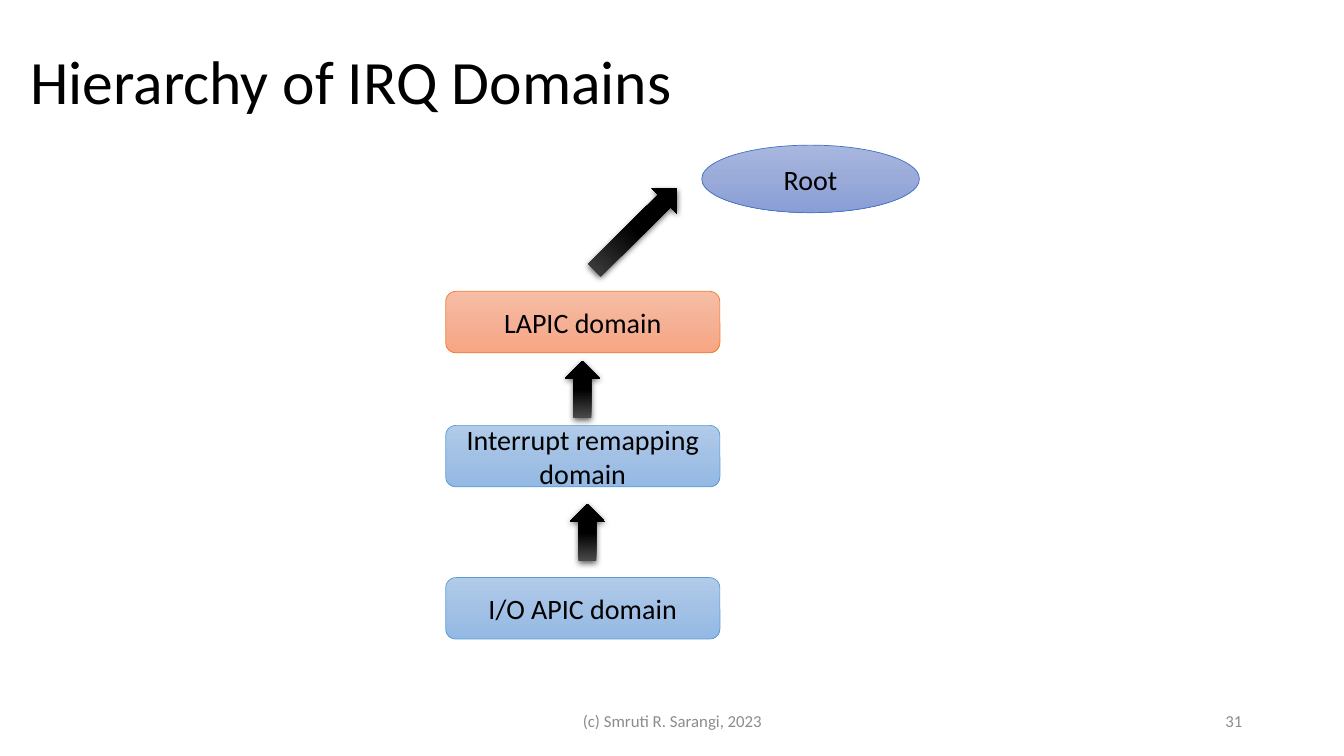
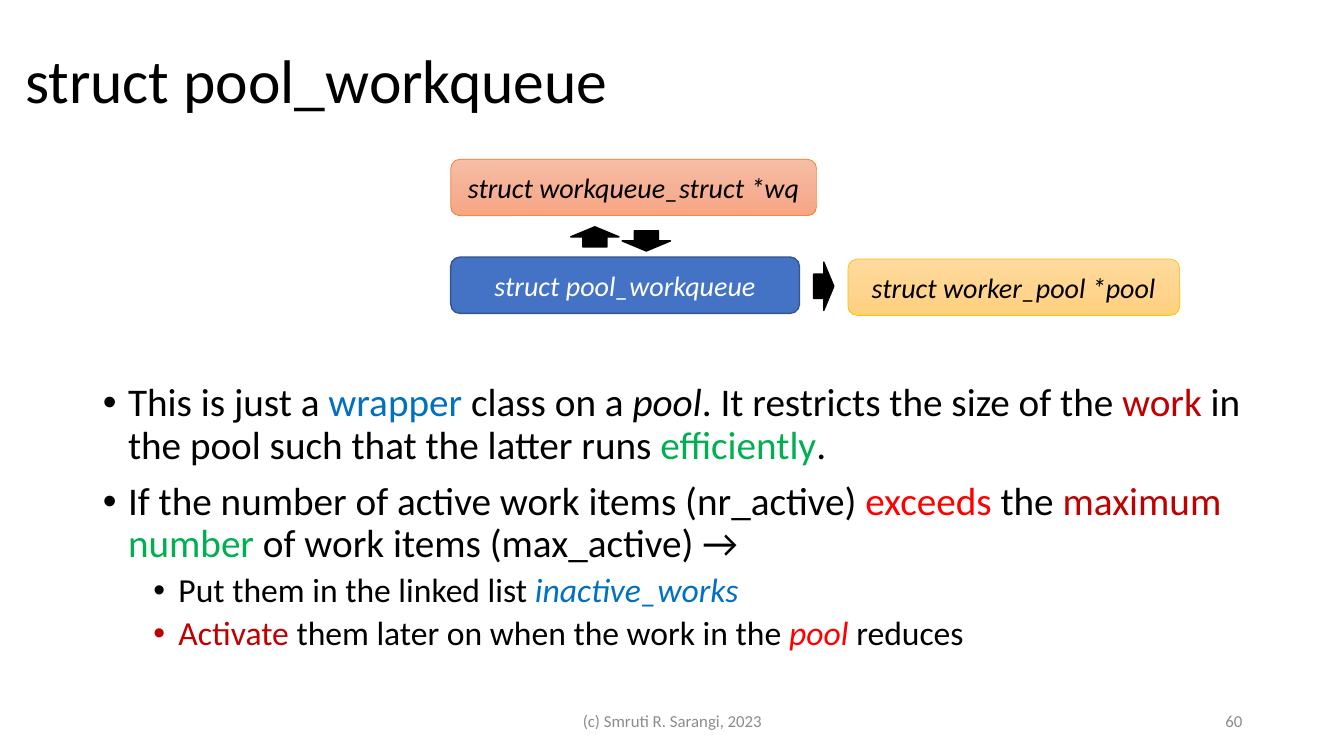
import copy

import pptx
import pptx.dml.color
import pptx.enum.shapes
import pptx.enum.text
import pptx.oxml
import pptx.oxml.ns
import pptx.util
from lxml import etree

Inches = pptx.util.Inches
Pt = pptx.util.Pt
RGBColor = pptx.dml.color.RGBColor
SHAPE = pptx.enum.shapes.MSO_SHAPE
ALIGN = pptx.enum.text.PP_ALIGN
ANCHOR = pptx.enum.text.MSO_ANCHOR
qn = pptx.oxml.ns.qn

# Colours
BLACK = RGBColor(0x00, 0x00, 0x00)
WHITE = RGBColor(0xFF, 0xFF, 0xFF)
GREY = RGBColor(0x8C, 0x8C, 0x8C)
BLUE = RGBColor(0x00, 0x70, 0xC0)
GREEN = RGBColor(0x00, 0xB0, 0x50)
RED = RGBColor(0xFF, 0x00, 0x00)
DARK_RED = RGBColor(0xC0, 0x00, 0x00)
ROYAL = RGBColor(0x44, 0x72, 0xC4)
NAVY = RGBColor(0x32, 0x54, 0x91)
ORANGE = RGBColor(0xED, 0x7D, 0x31)
SKY = RGBColor(0x5B, 0x9B, 0xD5)
GOLD = RGBColor(0xFF, 0xC0, 0x00)


def shades(*codes):
    return [RGBColor.from_string(code) for code in codes]


ORANGE_SHADES = shades("F7BDA5", "F5B196", "F8A582")
SKY_SHADES = shades("B1CBE9", "A3C1E5", "93B9E4")
ROYAL_SHADES = shades("A8B7DF", "9AABD9", "889ED7")
GOLD_SHADES = shades("FFDB9E", "FFD590", "FFD07C")
ARROW_SHADES = shades("4B4B4B", "000000", "000000")

# Formats
FONT = "Calibri"
FOOTER_TEXT = "(c) Smruti R. Sarangi, 2023"
TITLE_FRAME = {"vertical_anchor": ANCHOR.MIDDLE, "word_wrap": True,
               "auto_size": pptx.enum.text.MSO_AUTO_SIZE.NONE}
BODY_FRAME = {**TITLE_FRAME, "vertical_anchor": ANCHOR.TOP}
LEVELS = [{"size": 28, "before": 10, "margin": 0.25},
          {"size": 24, "before": 5, "margin": 0.75}]


def set_values(target, values):
    for name, value in values.items():
        setattr(target, name, value)


def style_font(font, size, colour, italic=False):
    set_values(font, {"name": FONT, "size": Pt(size), "italic": italic})
    font.color.rgb = colour


def place(shape, left, top, width, height):
    set_values(shape, {"left": Inches(left), "top": Inches(top),
                       "width": Inches(width), "height": Inches(height)})


def write_line(frame, text, size, colour, align, italic=False):
    set_values(frame, {"word_wrap": True, "vertical_anchor": ANCHOR.MIDDLE})
    line = frame.paragraphs[0]
    line.alignment = align
    run = line.add_run()
    run.text = text
    style_font(run.font, size, colour, italic)


# Shapes
def paint(shape, fill, outline=None, weight=0.5):
    """Fill with one colour, or top to bottom with a list of three."""
    shape.shadow.inherit = False
    if isinstance(fill, list):
        shape.fill.gradient()
        shape.fill.gradient_angle = 270
        stop_list = shape.element.spPr.find(".//" + qn("a:gsLst"))
        stop_list.append(copy.deepcopy(stop_list[-1]))
        for stop, colour, position in zip(shape.fill.gradient_stops, fill, (0, 0.5, 1)):
            stop.color.rgb = colour
            stop.position = position
    else:
        shape.fill.solid()
        shape.fill.fore_color.rgb = fill
    if outline is None:
        shape.line.fill.background()
    else:
        shape.line.color.rgb = outline
        shape.line.width = Pt(weight)


def add_shape(slide, kind, box, rotation=0):
    shape = slide.shapes.add_shape(kind, *[Inches(length) for length in box])
    shape.rotation = rotation
    return shape


def add_node(slide, box, text, fill, outline, kind=SHAPE.ROUNDED_RECTANGLE,
             colour=BLACK, italic=False, weight=0.5):
    node = add_shape(slide, kind, box)
    paint(node, fill, outline, weight)
    write_line(node.text_frame, text, 20, colour, ALIGN.CENTER, italic)


def add_shaded_arrow(slide, box, rotation):
    arrow = add_shape(slide, SHAPE.DOWN_ARROW, box, rotation)
    paint(arrow, ARROW_SHADES)
    effects = arrow.element.spPr.find(qn("a:effectLst"))
    shadow = etree.SubElement(effects, qn("a:outerShdw"), blurRad=str(Pt(4.5)),
                              dist=str(Pt(1.5)), dir="5400000", algn="ctr",
                              rotWithShape="0")
    colour = etree.SubElement(shadow, qn("a:srgbClr"), val=str(BLACK))
    etree.SubElement(colour, qn("a:alpha"), val="63000")


# Shared slide frame
def add_slide(deck, layout, title_at, title_text, number):
    slide = deck.slides.add_slide(deck.slide_layouts[layout])
    title = slide.shapes.title
    place(title, *title_at, 11.5, 1.45)
    write_line(title.text_frame, title_text, 44, BLACK, ALIGN.LEFT)
    set_values(title.text_frame, TITLE_FRAME)
    title.text_frame.paragraphs[0].line_spacing = 0.9
    for text, left, width, align in ((FOOTER_TEXT, 4.42, 4.5, ALIGN.CENTER),
                                     (str(number), 9.42, 3, ALIGN.RIGHT)):
        footer = slide.shapes.add_textbox(Inches(left), Inches(6.95),
                                          Inches(width), Inches(0.4))
        write_line(footer.text_frame, text, 12, GREY, align)
    return slide


# Bulleted list in the body placeholder
def fill_body(body, box, items):
    place(body, *box)
    frame = body.text_frame
    set_values(frame, BODY_FRAME)
    for index, (level, runs) in enumerate(items):
        item = frame.paragraphs[0] if index == 0 else frame.add_paragraph()
        form = LEVELS[level]
        set_values(item, {"level": level, "line_spacing": 0.9,
                          "alignment": ALIGN.LEFT,
                          "space_before": Pt(form["before"] if index else 0)})
        properties = item._p.get_or_add_pPr()
        properties.set("marL", str(Inches(form["margin"])))
        properties.set("indent", str(Inches(-0.25)))
        etree.SubElement(properties, qn("a:buFont"), typeface="Arial")
        etree.SubElement(properties, qn("a:buChar"), char="•")
        for text, colour, italic in runs:
            run = item.add_run()
            run.text = text
            style_font(run.font, form["size"], colour, italic)


# Chain of domains, from the root down
def draw_domains(slide, left, top):
    for text, offset, fill, outline in (
            ("LAPIC domain", 1.45, ORANGE_SHADES, ORANGE),
            ("Interrupt remapping domain", 2.78, SKY_SHADES, SKY),
            ("I/O APIC domain", 4.29, SKY_SHADES, SKY)):
        add_node(slide, (left, top + offset, 2.72, 0.61), text, fill, outline)
    add_node(slide, (left + 2.54, top, 2.16, 0.67), "Root", ROYAL_SHADES, ROYAL,
             kind=SHAPE.OVAL)
    for across, down, length, rotation in ((1.18, 2.14, 0.57, 180),
                                           (1.23, 3.56, 0.57, 180),
                                           (1.71, 0.26, 1.15, 225.3)):
        add_shaded_arrow(slide, (left + across, top + down, 0.35, length), rotation)


# Structures and the pointers between them
def draw_structs(slide, left, top):
    add_node(slide, (left, top, 3.63, 0.56), "struct workqueue_struct *wq",
             ORANGE_SHADES, ORANGE, italic=True)
    add_node(slide, (left, top + 0.97, 3.46, 0.56), "struct pool_workqueue",
             ROYAL, NAVY, colour=WHITE, italic=True, weight=1)
    add_node(slide, (left + 3.94, top + 0.99, 3.29, 0.56),
             "struct worker_pool *pool", GOLD_SHADES, GOLD, italic=True)
    for across, down, rotation in ((1.19, 0.67, 0), (1.7, 0.71, 180), (3.46, 1.16, 90)):
        arrow = add_shape(slide, SHAPE.UP_ARROW,
                          (left + across, top + down, 0.48, 0.2), rotation)
        paint(arrow, BLACK, BLACK, 1)


POOL_NOTES = [
    (0, [("This is just a ", BLACK, False), ("wrapper", BLUE, False),
         (" class on a ", BLACK, False), ("pool", BLACK, True),
         (". It restricts the size of the ", BLACK, False),
         ("work", DARK_RED, False),
         (" in the pool such that the latter runs ", BLACK, False),
         ("efficiently", GREEN, False), (".", BLACK, False)]),
    (0, [("If the number of active work items (nr_active) ", BLACK, False),
         ("exceeds", RED, False), (" the ", BLACK, False),
         ("maximum ", DARK_RED, False), ("number", GREEN, False),
         (" of work items (max_active) →", BLACK, False)]),
    (1, [("Put them in the linked list ", BLACK, False),
         ("inactive_works", BLUE, True)]),
    (1, [("Activate", DARK_RED, False),
         (" them later on when the work in the ", BLACK, False),
         ("pool", RED, True), (" reduces", BLACK, False)]),
]


def main():
    deck = pptx.Presentation()
    set_values(deck, {"slide_width": Inches(13.33), "slide_height": Inches(7.5)})

    domains = add_slide(deck, 5, (0.2, 0.11), "Hierarchy of IRQ Domains", 31)
    draw_domains(domains, 4.42, 1.44)

    pool = add_slide(deck, 1, (0.15, 0.1), "struct pool_workqueue", 60)
    fill_body(pool.placeholders[1], (0.92, 3.75, 11.5, 3.01), POOL_NOTES)
    draw_structs(pool, 4.47, 1.58)

    deck.save("out.pptx")


if __name__ == "__main__":
    main()
